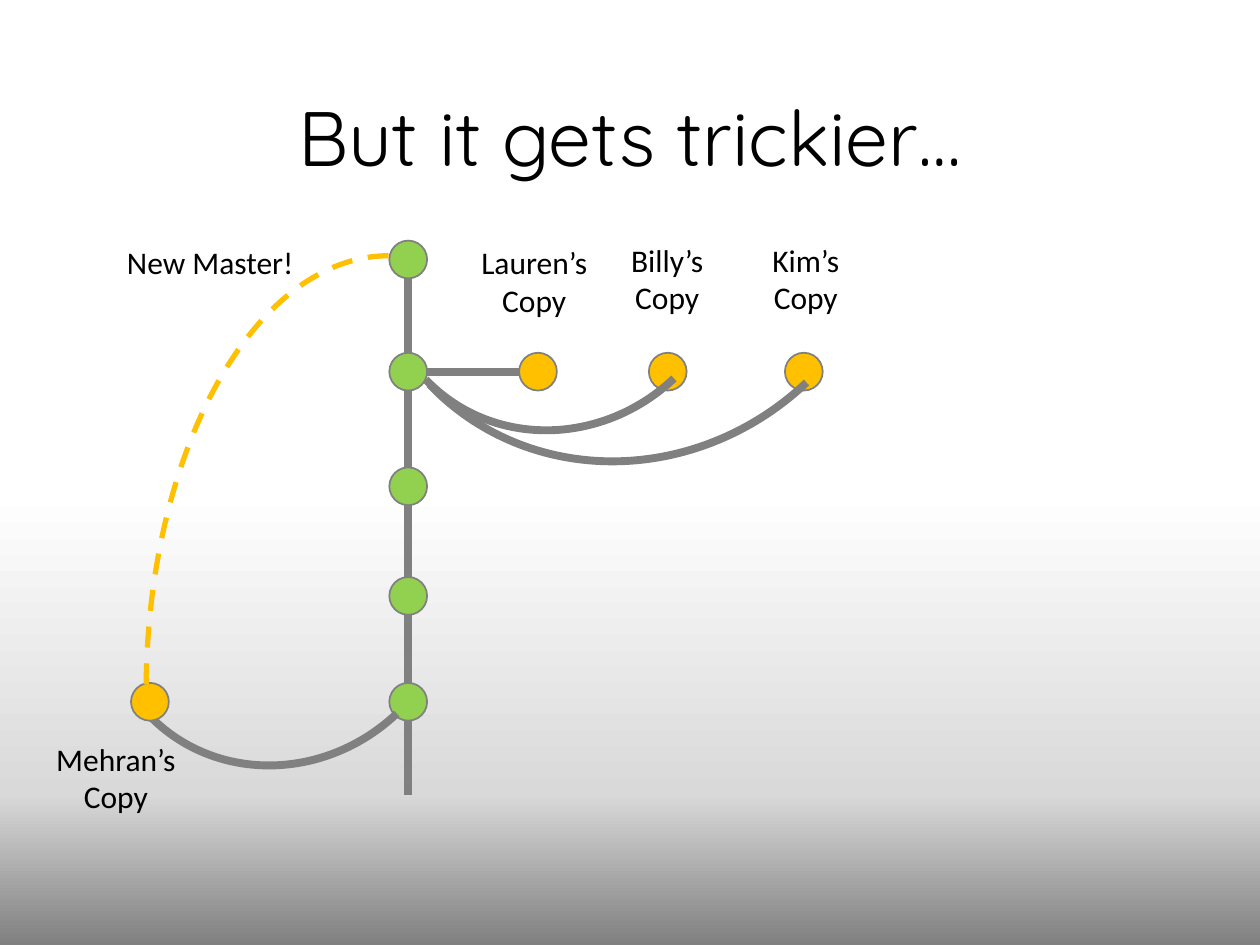
from copy import deepcopy
from pptx import Presentation
from pptx.dml.color import RGBColor
from pptx.enum.dml import MSO_LINE
from pptx.enum.shapes import MSO_CONNECTOR, MSO_SHAPE
from pptx.enum.text import MSO_ANCHOR, PP_ALIGN
from pptx.oxml.ns import qn
from pptx.util import Inches, Pt
from lxml import etree

WHITE = RGBColor(0xFF, 0xFF, 0xFF)
SILVER = RGBColor(0xD9, 0xD9, 0xD9)
GRAY = RGBColor(0x80, 0x80, 0x80)
GREEN = RGBColor(0x92, 0xD0, 0x50)
AMBER = RGBColor(0xFF, 0xC0, 0x00)
BLACK = RGBColor(0, 0, 0)

presentation = Presentation()
presentation.slide_width = Inches(10)
presentation.slide_height = Inches(7.5)
slide = presentation.slides.add_slide(presentation.slide_layouts[6])
shapes = slide.shapes

background = slide.background.fill
background.gradient()
background.gradient_angle = 270
stop_list = next(slide.element.iter(qn("a:gsLst")))
stop_list.append(deepcopy(stop_list[-1]))
stops = [(0.52, WHITE), (0.84, SILVER), (1, GRAY)]
for stop, (position, color) in zip(background.gradient_stops, stops):
    stop.position = position
    stop.color.rgb = color


def add_outline(kind, box, color, width):
    shape = shapes.add_shape(kind, *map(Inches, box))
    shape.shadow.inherit = False
    shape.fill.background()
    shape.line.color.rgb = color
    shape.line.width = Pt(width)
    return shape


def add_text(text, box, size, font, align):
    text_box = shapes.add_textbox(*map(Inches, box))
    frame = text_box.text_frame
    frame.word_wrap = True
    paragraph = frame.paragraphs[0]
    paragraph.alignment = align
    run = paragraph.add_run()
    run.text = text
    run.font.size = Pt(size)
    run.font.name = font
    run.font.color.rgb = BLACK
    return frame


NODE = 0.3
MASTER_LEFT = 3.09
BRANCH_TOP = 2.8
MERGE_TOP = 5.42
master_tops = [1.91, BRANCH_TOP, 3.71, 4.58, MERGE_TOP]
trunk_x = MASTER_LEFT + NODE / 2
branch_y = BRANCH_TOP + NODE / 2

master_nodes = [(MASTER_LEFT, top, GREEN) for top in master_tops]
copy_nodes = [(left, BRANCH_TOP, AMBER) for left in (4.12, 5.15, 6.23)]
for left, top, color in master_nodes + copy_nodes:
    node = add_outline(MSO_SHAPE.OVAL, (left, top, NODE, NODE), GRAY, 1)
    node.fill.solid()
    node.fill.fore_color.rgb = color

links = [(trunk_x, top + NODE, trunk_x, below)
         for top, below in zip(master_tops, master_tops[1:] + [6.31])]
links.append((4.12, branch_y, MASTER_LEFT + NODE, branch_y))
for link in links:
    connector = shapes.add_connector(MSO_CONNECTOR.STRAIGHT, *map(Inches, link))
    connector.line.color.rgb = GRAY
    connector.line.width = Pt(4.5)
    etree.SubElement(connector._element.spPr, qn("a:effectLst"))

for box in [(3.07, 0.59, 2.7, 2.87), (2.94, -0.63, 4.1, 4.36), (0.87, 3.25, 2.7, 2.87)]:
    branch = add_outline(MSO_SHAPE.ARC, box, GRAY, 4.5)
    branch.rotation = 46.5
    branch._element.spPr.xfrm.set("flipV", "1")

mehran_node = add_outline(MSO_SHAPE.OVAL, (1.04, MERGE_TOP, NODE, NODE), GRAY, 1)
mehran_node.fill.solid()
mehran_node.fill.fore_color.rgb = AMBER

new_master = add_outline(MSO_SHAPE.ARC, (1.16, 2.03, 3.85, 6.93), AMBER, 3)
new_master.line.dash_style = MSO_LINE.DASH
new_master.adjustments[0] = 162
new_master.adjustments[1] = 215.06
new_master._element.spPr.xfrm.set("flipH", "1")

labels = [
    ("Billy’s Copy", (4.75, 1.86, 1.09, 0.71), PP_ALIGN.CENTER),
    ("Lauren’s Copy", (3.59, 1.88, 1.3, 0.71), PP_ALIGN.CENTER),
    ("Kim’s Copy", (5.85, 1.86, 1.09, 0.71), PP_ALIGN.CENTER),
    ("Mehran’s Copy", (0.25, 5.82, 1.34, 0.71), PP_ALIGN.CENTER),
    ("New Master!", (0.91, 1.88, 1.73, 0.4), PP_ALIGN.LEFT),
]
for text, box, align in labels:
    add_text(text, box, 18, "Calibri", align)

title = add_text("But it gets trickier…", (0.69, 0.4, 8.62, 1.45), 44, "Quicksand", PP_ALIGN.CENTER)
title.vertical_anchor = MSO_ANCHOR.MIDDLE
title.paragraphs[0].line_spacing = 0.9

presentation.save("out.pptx")
